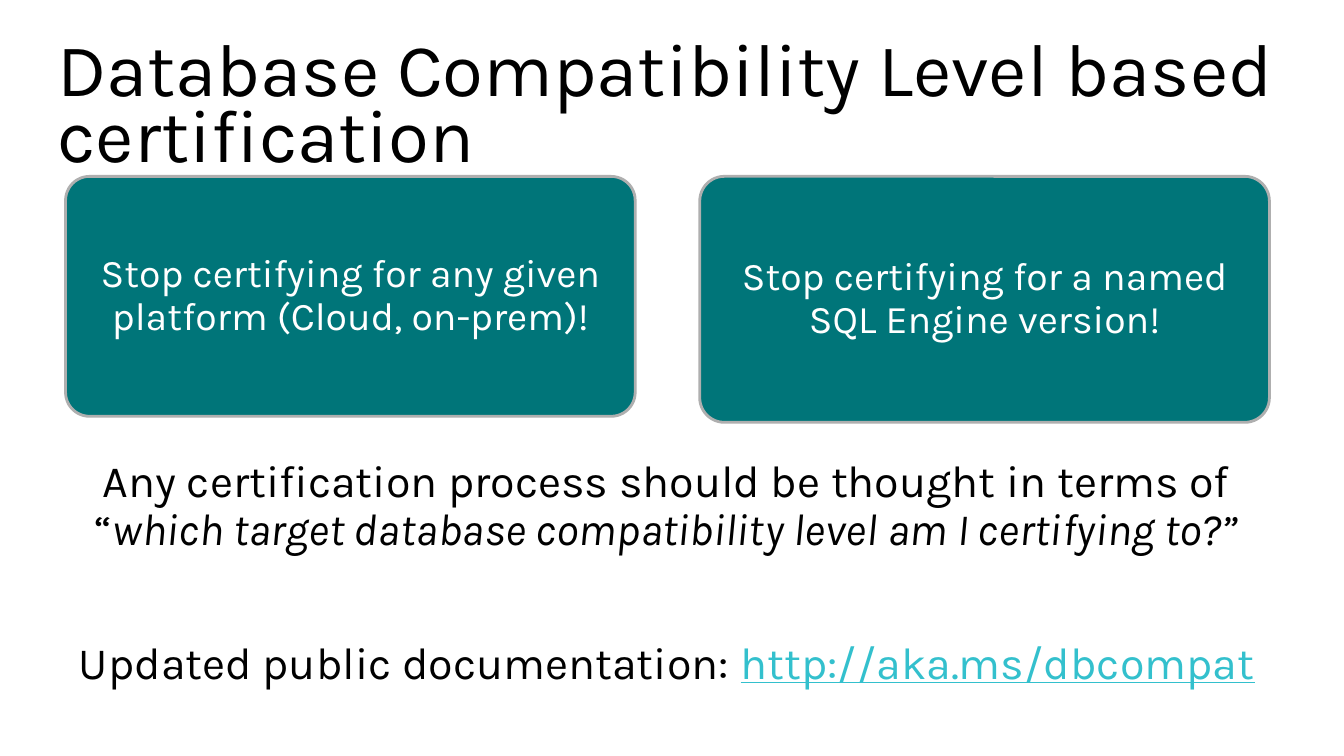
from pptx import Presentation
from pptx.dml.color import RGBColor
from pptx.enum.shapes import MSO_SHAPE
from pptx.enum.text import MSO_ANCHOR, MSO_AUTO_SIZE, PP_ALIGN
from pptx.oxml.ns import qn
from pptx.util import Inches, Pt
from lxml import etree

COLORS = {"card": "007579", "border": "AFAFAF", "light": "FFFFFF", "dark": "000000", "link": "33C0CD"}
FONT = "Karla"


def color(name):
    return RGBColor.from_string(COLORS[name])


def place(shape, box):
    shape.left, shape.top, shape.width, shape.height = map(Inches, box)


def set_frame(frame, anchor, horizontal, vertical):
    frame.word_wrap = True
    frame.auto_size = MSO_AUTO_SIZE.NONE
    frame.vertical_anchor = anchor
    frame.margin_left = frame.margin_right = Inches(horizontal)
    frame.margin_top = frame.margin_bottom = Inches(vertical)


def style(paragraph, size, color_name, alignment, line_spacing):
    paragraph.alignment = alignment
    paragraph.line_spacing = line_spacing
    paragraph.font.name = FONT
    paragraph.font.size = Pt(size)
    paragraph.font.color.rgb = color(color_name)


def add_title(slide, box, text):
    title = slide.shapes.title
    place(title, box)
    title.text_frame.text = text
    set_frame(title.text_frame, MSO_ANCHOR.TOP, 0.1, 0.09)
    style(title.text_frame.paragraphs[0], 53.3, "dark", PP_ALIGN.LEFT, Pt(46.7))


def add_card(slide, box, text):
    card = slide.shapes.add_shape(MSO_SHAPE.ROUNDED_RECTANGLE, *map(Inches, box))
    card.adjustments[0] = 0.1
    card.shadow.inherit = False
    card.fill.solid()
    card.fill.fore_color.rgb = color("card")
    card.line.color.rgb = color("border")
    card.line.width = Pt(2)
    card.text_frame.text = text
    set_frame(card.text_frame, MSO_ANCHOR.MIDDLE, 0.06, 0.04)
    style(card.text_frame.paragraphs[0], 28, "light", PP_ALIGN.CENTER, 0.9)


def add_cards(slide, box, gap, cards):
    left, top, width, _ = box
    card_width = (width - gap * (len(cards) - 1)) / len(cards)
    for index, (text, height) in enumerate(cards):
        add_card(slide, (left + index * (card_width + gap), top, card_width, height), text)


def add_statement(paragraph, lead, ending):
    properties = paragraph._p.get_or_add_pPr()
    properties.set("marL", "0")
    properties.set("indent", "0")
    etree.SubElement(properties, qn("a:buNone"))
    style(paragraph, 32, "dark", PP_ALIGN.CENTER, 0.9)
    paragraph.space_before = Pt(0)
    paragraph.add_run().text = lead
    run = paragraph.add_run()
    run.text = ending
    return run


def add_body(slide, box):
    body = slide.placeholders[1]
    place(body, box)
    frame = body.text_frame
    set_frame(frame, MSO_ANCHOR.TOP, 0.1, 0.05)
    question = add_statement(
        frame.paragraphs[0],
        "Any certification process should be thought in terms of “",
        "which target database compatibility level am I certifying to?”",
    )
    question.font.italic = True
    documentation = frame.add_paragraph()
    address = add_statement(documentation, "Updated public documentation: ", "http://aka.ms/dbcompat")
    documentation.space_before = Pt(61)
    address.font.underline = True
    address.font.color.rgb = color("link")


def main():
    presentation = Presentation()
    presentation.slide_width = Inches(13.33)
    presentation.slide_height = Inches(7.5)
    slide = presentation.slides.add_slide(presentation.slide_layouts[1])
    add_title(slide, (0.47, 0.37, 12.37, 0.89), "Database Compatibility Level based certification")
    add_cards(slide, (0.65, 1.75, 11.94, 2.44), 0.64, [
        ("Stop certifying for any given platform (Cloud, on-prem)!", 2.38),
        ("Stop certifying for a named SQL Engine version!", 2.44),
    ])
    add_body(slide, (0.59, 4.5, 12.05, 2.37))
    presentation.save("out.pptx")


if __name__ == "__main__":
    main()
